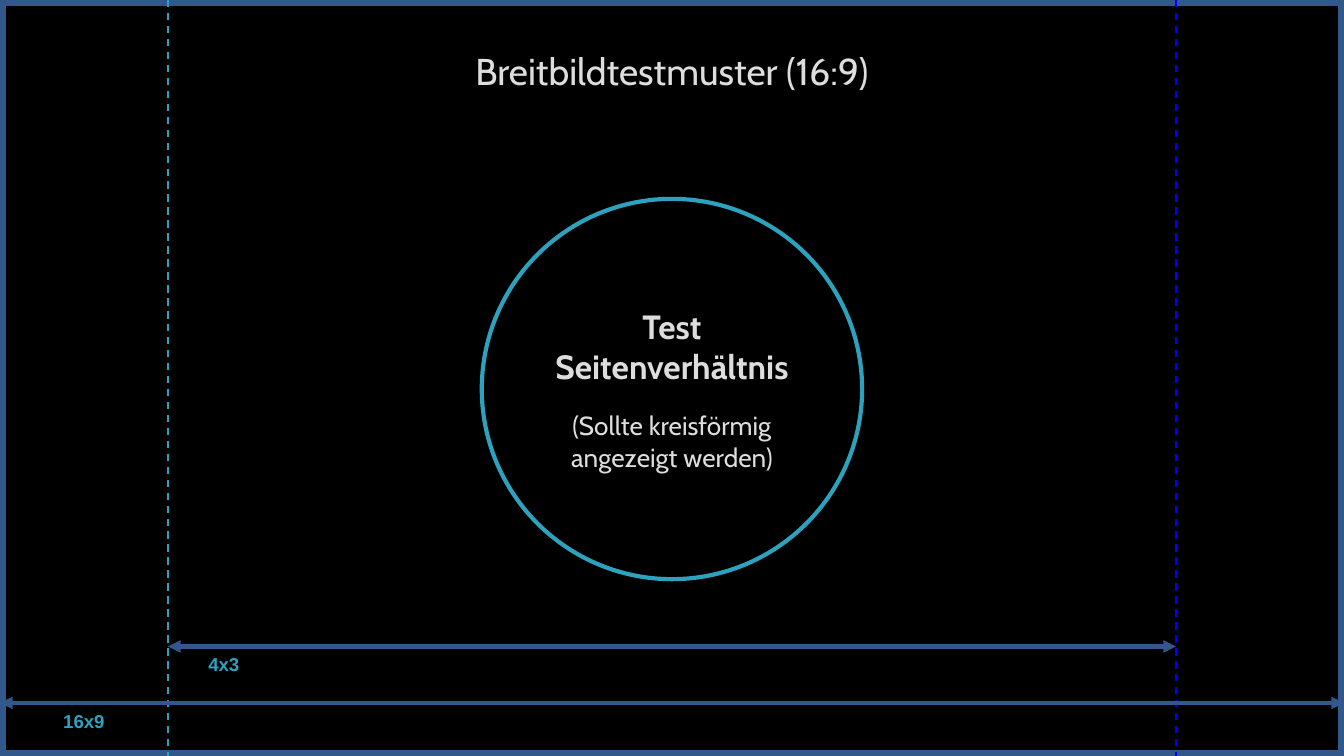
from dataclasses import dataclass

from lxml.etree import SubElement
from pptx import Presentation
from pptx.dml.color import RGBColor as RGB
from pptx.enum.dml import MSO_LINE as Dash
from pptx.enum.shapes import MSO_CONNECTOR as Link, MSO_SHAPE as Shape
from pptx.enum.text import MSO_ANCHOR as Anchor, PP_ALIGN as Align
from pptx.oxml.ns import qn
from pptx.util import Inches, Pt


@dataclass(frozen=True)
class Theme:
    back: RGB = RGB(0, 0, 0)
    text: RGB = RGB(0xDD, 0xDD, 0xDD)
    frame: RGB = RGB(0x32, 0x57, 0x8B)
    teal: RGB = RGB(0x2D, 0xA2, 0xBF)
    blue: RGB = RGB(0, 0, 0xFF)
    main: str = "Cabin"
    small: str = "Arial"
    title: float = 20
    head: float = 18
    note: float = 14
    label: float = 10


THEME = Theme()
WIDE = 10
HIGH = WIDE * 9 / 16


def add_run(para, text, size, color, font=THEME.main, bold=False):
    run = para.add_run()
    run.text = text
    run.font.size = Pt(size)
    run.font.name = font
    run.font.bold = bold
    run.font.color.rgb = color


def add_outline(slide, kind, box, color, width):
    shape = slide.shapes.add_shape(kind, *map(Inches, box))
    shape.shadow.inherit = False
    shape.fill.background()
    shape.line.color.rgb = color
    shape.line.width = Pt(width)
    return shape


def add_line(slide, ends, color, width, dash=None, arrows=False):
    link = slide.shapes.add_connector(Link.STRAIGHT, *map(Inches, ends))
    link.line.color.rgb = color
    link.line.width = Pt(width)
    if dash:
        link.line.dash_style = dash
    props = link._element.spPr
    if arrows:
        for tag in ("a:headEnd", "a:tailEnd"):
            SubElement(props.find(qn("a:ln")), qn(tag), type="triangle")
    SubElement(props, qn("a:effectLst"))


def add_title(slide, box):
    frame = slide.shapes.add_textbox(*map(Inches, box)).text_frame
    frame.word_wrap = True
    para = frame.paragraphs[0]
    para.alignment = Align.CENTER
    add_run(para, "Breitbildtestmuster (16:9)", THEME.title, THEME.text)


def add_circle(slide, box):
    circle = add_outline(slide, Shape.OVAL, box, THEME.teal, 2.25)
    frame = circle.text_frame
    frame.word_wrap = True
    frame.vertical_anchor = Anchor.MIDDLE
    head, note = frame.paragraphs[0], frame.add_paragraph()
    head.alignment = note.alignment = Align.CENTER
    note.space_before = Pt(12.5)
    add_run(head, "Test Seitenverhältnis", THEME.head, THEME.text, bold=True)
    add_run(note, "(Sollte kreisförmig angezeigt werden)", THEME.note, THEME.text)


def add_span(slide, left, top, width, label, indent):
    """Draw a double arrow with its ratio label below, indented from the left end."""
    add_line(slide, (left, top, left + width, top), THEME.frame, 2.25, arrows=True)
    box = (left + indent, top, 0.58, 0.27)
    frame = slide.shapes.add_textbox(*map(Inches, box)).text_frame
    frame.word_wrap = True
    frame.margin_left = frame.margin_right = Inches(0.05)
    frame.margin_top = frame.margin_bottom = Inches(0.05)
    add_run(frame.paragraphs[0], label, THEME.label, THEME.teal, THEME.small, True)


def add_pattern(slide, left, top, width, height):
    fill = slide.background.fill
    fill.solid()
    fill.fore_color.rgb = THEME.back
    add_outline(slide, Shape.RECTANGLE, (left, top, width, height), THEME.frame, 6)
    add_title(slide, (left + 0.75, top + 0.31, width - 1.5, 0.92))

    inner = width * 3 / 4
    edge = left + (width - inner) / 2
    for x, color in ((edge, THEME.teal), (edge + inner, THEME.blue)):
        add_line(slide, (x, top, x, top + height), color, 1, Dash.DASH)

    add_span(slide, left, top + 5.23, width, "16x9", 0.42)
    size = 2.83
    add_circle(slide, (left + (width - size) / 2, top + 1.48, size, size))
    add_span(slide, edge, top + 4.81, inner, "4x3", 0.25)


def main():
    deck = Presentation()
    deck.slide_width, deck.slide_height = Inches(WIDE), Inches(HIGH)
    slide = deck.slides.add_slide(deck.slide_layouts[6])
    add_pattern(slide, 0, 0, WIDE, HIGH)
    deck.save("out.pptx")


if __name__ == "__main__":
    main()
